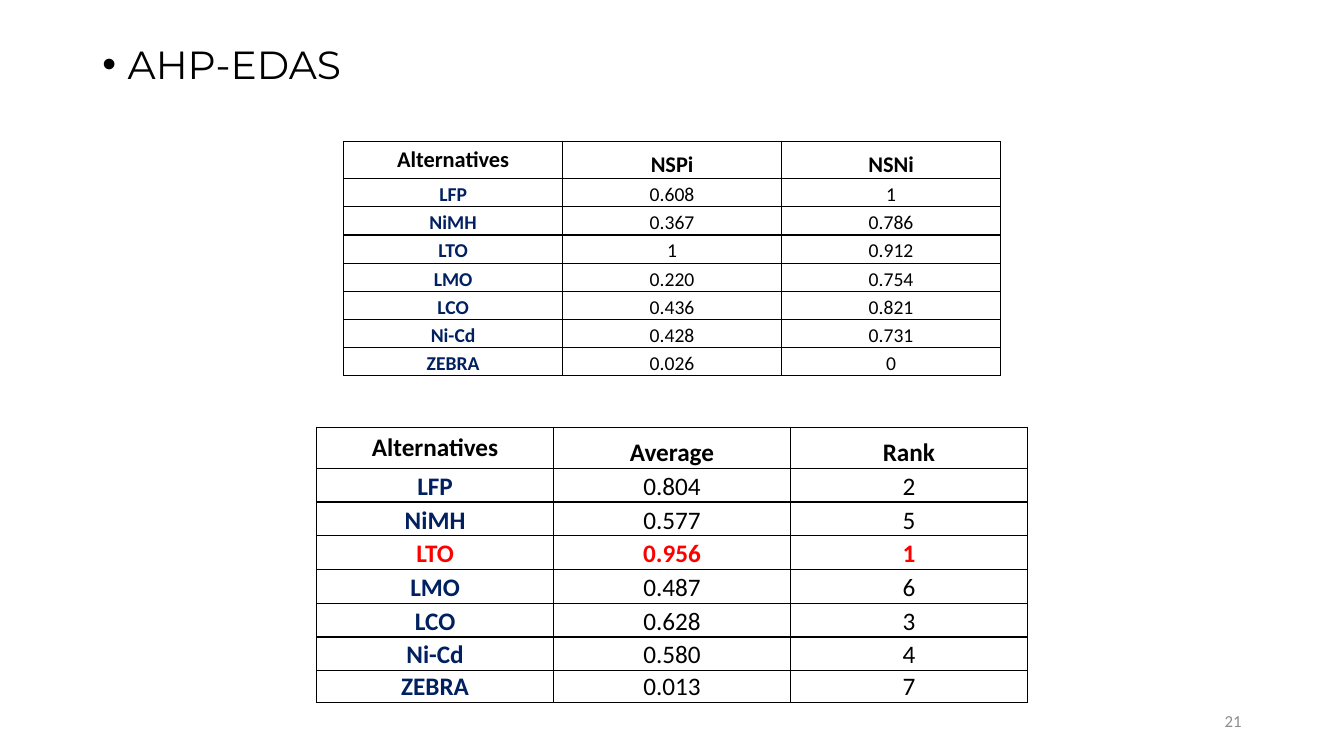
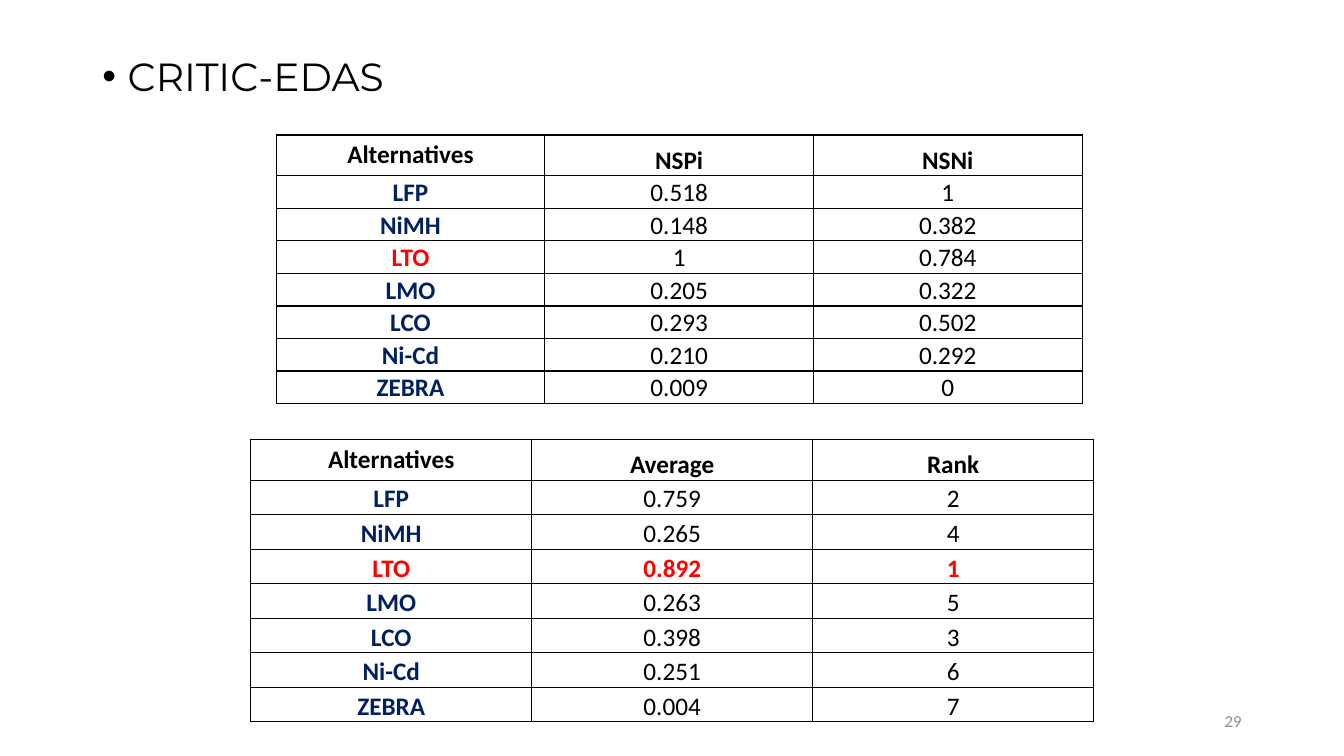
"""Build two slides of EDAS battery rankings, each with a score table and a rank table."""
from dataclasses import dataclass

from lxml import etree
from pptx import Presentation
from pptx.dml.color import RGBColor
from pptx.enum.text import MSO_ANCHOR, PP_ALIGN
from pptx.oxml.ns import qn
from pptx.slide import Slide
from pptx.table import _Cell
from pptx.text.text import _Paragraph
from pptx.util import Cm, Pt

CENTER, RIGHT = PP_ALIGN.CENTER, PP_ALIGN.RIGHT
MIDDLE, BOTTOM = MSO_ANCHOR.MIDDLE, MSO_ANCHOR.BOTTOM

COLORS = {"text": "000000", "alternative": "002060", "best": "FF0000", "number": "8C8C8C"}
BODY_FONT, TITLE_FONT = "Calibri", "Montserrat"
MARGIN, CONTENT_WIDTH, BODY_BOTTOM = 2.33, 29.21, 17.15
CELL_INSET = 0.03
BORDER_WIDTH = Pt(1)
BULLET_INDENT = Cm(0.64)
ALTERNATIVES = ("LFP", "NiMH", "LTO", "LMO", "LCO", "Ni-Cd", "ZEBRA")
BEST = "LTO"
SCORE_HEADINGS = ("Alternatives", "NSPi", "NSNi")
RANK_HEADINGS = ("Alternatives", "Average", "Rank")


@dataclass(frozen=True)
class Ranking:
    """A table of values per alternative, with lengths in centimetres."""

    headings: tuple[str, ...]
    values: tuple[tuple[str, ...], ...]
    left: float
    top: float
    column_width: float
    row_height: float
    last_row_height: float
    header_height: float = 1.03
    header_size: int = 18
    body_size: int = 18
    best_columns: int = 0


@dataclass(frozen=True)
class Method:
    """One slide: a weighting method and its tables."""

    title: str
    title_top: float
    number: str
    rankings: tuple[Ranking, ...]


METHODS = (
    Method("AHP-EDAS", 1.02, "21", (
        Ranking(RANK_HEADINGS,
                (("0.804", "0.577", "0.956", "0.487", "0.628", "0.580", "0.013"),
                 ("2", "5", "1", "6", "3", "4", "7")),
                7.98, 10.77, 5.97, 0.85, 0.79, best_columns=3),
        Ranking(SCORE_HEADINGS,
                (("0.608", "0.367", "1", "0.220", "0.436", "0.428", "0.026"),
                 ("1", "0.786", "0.912", "0.754", "0.821", "0.731", "0")),
                8.66, 3.56, 5.52, 0.71, 0.71,
                header_height=0.94, header_size=16, body_size=14),
    )),
    Method("CRITIC-EDAS", 1.32, "29", (
        Ranking(RANK_HEADINGS,
                (("0.759", "0.265", "0.892", "0.263", "0.398", "0.251", "0.004"),
                 ("2", "4", "1", "5", "3", "6", "7")),
                6.32, 11.07, 7.08, 0.87, 0.87, best_columns=3),
        Ranking(SCORE_HEADINGS,
                (("0.518", "0.148", "1", "0.205", "0.293", "0.210", "0.009"),
                 ("1", "0.382", "0.784", "0.322", "0.502", "0.292", "0")),
                6.96, 3.4, 6.77, 0.82, 0.82, best_columns=1),
    )),
)


def format_text(paragraph: _Paragraph, size: int, color: str,
                font: str = BODY_FONT, bold: bool = False) -> None:
    """Set the font of every run in a paragraph."""
    for run in paragraph.runs:
        run.font.name = font
        run.font.size = Pt(size)
        run.font.bold = bold
        run.font.color.rgb = RGBColor.from_string(COLORS[color])


def add_text(slide: Slide, text: str, left: float, top: float,
             width: float, height: float) -> _Paragraph:
    """Add a wrapping text box and return its paragraph."""
    frame = slide.shapes.add_textbox(Cm(left), Cm(top), Cm(width), Cm(height)).text_frame
    frame.word_wrap = True
    frame.text = text
    return frame.paragraphs[0]


def add_title(slide: Slide, method: Method) -> None:
    """Add the bulleted method name."""
    paragraph = add_text(slide, method.title, MARGIN, method.title_top,
                         CONTENT_WIDTH, BODY_BOTTOM - method.title_top)
    properties = paragraph._p.get_or_add_pPr()
    properties.set("marL", str(BULLET_INDENT))
    properties.set("indent", str(-BULLET_INDENT))
    etree.SubElement(properties, qn("a:buFont")).set("typeface", "Arial")
    etree.SubElement(properties, qn("a:buChar")).set("char", "•")
    paragraph.line_spacing = 0.9
    format_text(paragraph, 28, "text", TITLE_FONT)


def add_number(slide: Slide, number: str) -> None:
    """Add the slide number at the lower right."""
    width = 7.62
    paragraph = add_text(slide, number, MARGIN + CONTENT_WIDTH - width, 17.66, width, 1.01)
    paragraph.alignment = RIGHT
    slide.shapes[-1].text_frame.vertical_anchor = MIDDLE
    format_text(paragraph, 12, "number")


def add_borders(cell: _Cell) -> None:
    """Draw a line on all four sides of a cell."""
    properties = cell._tc.get_or_add_tcPr()
    for side in ("a:lnL", "a:lnR", "a:lnT", "a:lnB"):
        line = etree.SubElement(properties, qn(side), w=str(BORDER_WIDTH))
        fill = etree.SubElement(line, qn("a:solidFill"))
        etree.SubElement(fill, qn("a:srgbClr"), val=COLORS["text"])


def fill_cell(cell: _Cell, text: str, size: int, color: str, bold: bool, tight: bool) -> None:
    """Write one centred cell, with tight cells set on the bottom edge."""
    add_borders(cell)
    cell.fill.background()
    if tight:
        cell.vertical_anchor = BOTTOM
        cell.margin_left = cell.margin_right = cell.margin_top = Cm(CELL_INSET)
        cell.margin_bottom = 0
    cell.text = text
    paragraph = cell.text_frame.paragraphs[0]
    paragraph.alignment = CENTER
    format_text(paragraph, size, color, bold=bold)


def add_ranking(slide: Slide, ranking: Ranking) -> None:
    """Add one table with a heading row and a row per alternative."""
    rows = [ranking.headings, *zip(ALTERNATIVES, *ranking.values)]
    heights = [ranking.header_height, *[ranking.row_height] * (len(rows) - 2),
               ranking.last_row_height]
    columns = len(ranking.headings)
    table = slide.shapes.add_table(
        len(rows), columns, Cm(ranking.left), Cm(ranking.top),
        Cm(ranking.column_width * columns), Cm(sum(heights))).table
    table.first_row = table.horz_banding = False
    for column in table.columns:
        column.width = Cm(ranking.column_width)
    for row_index, (row, height) in enumerate(zip(rows, heights)):
        table.rows[row_index].height = Cm(height)
        heading = row_index == 0
        size = ranking.header_size if heading else ranking.body_size
        for column_index, text in enumerate(row):
            name = column_index == 0
            best = row[0] == BEST and column_index < ranking.best_columns
            color = "best" if best else "alternative" if name and not heading else "text"
            fill_cell(table.cell(row_index, column_index), text, size, color,
                      bold=heading or name or best, tight=not (heading and name))


def main() -> None:
    """Build and save the presentation."""
    presentation = Presentation()
    presentation.slide_width, presentation.slide_height = Cm(33.87), Cm(19.05)
    for method in METHODS:
        slide = presentation.slides.add_slide(presentation.slide_layouts[6])
        add_title(slide, method)
        add_number(slide, method.number)
        for ranking in method.rankings:
            add_ranking(slide, ranking)
    presentation.save("out.pptx")


if __name__ == "__main__":
    main()
